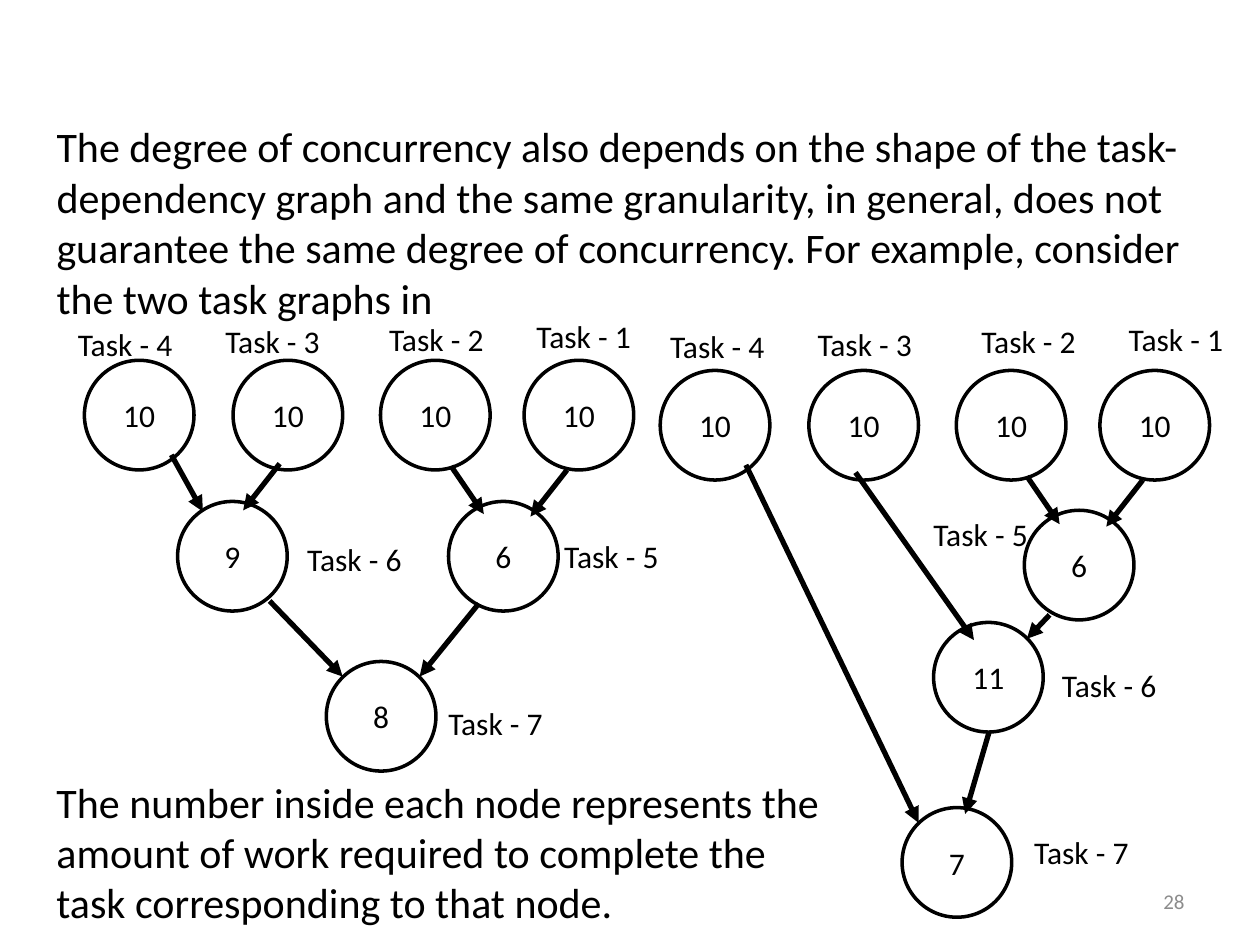
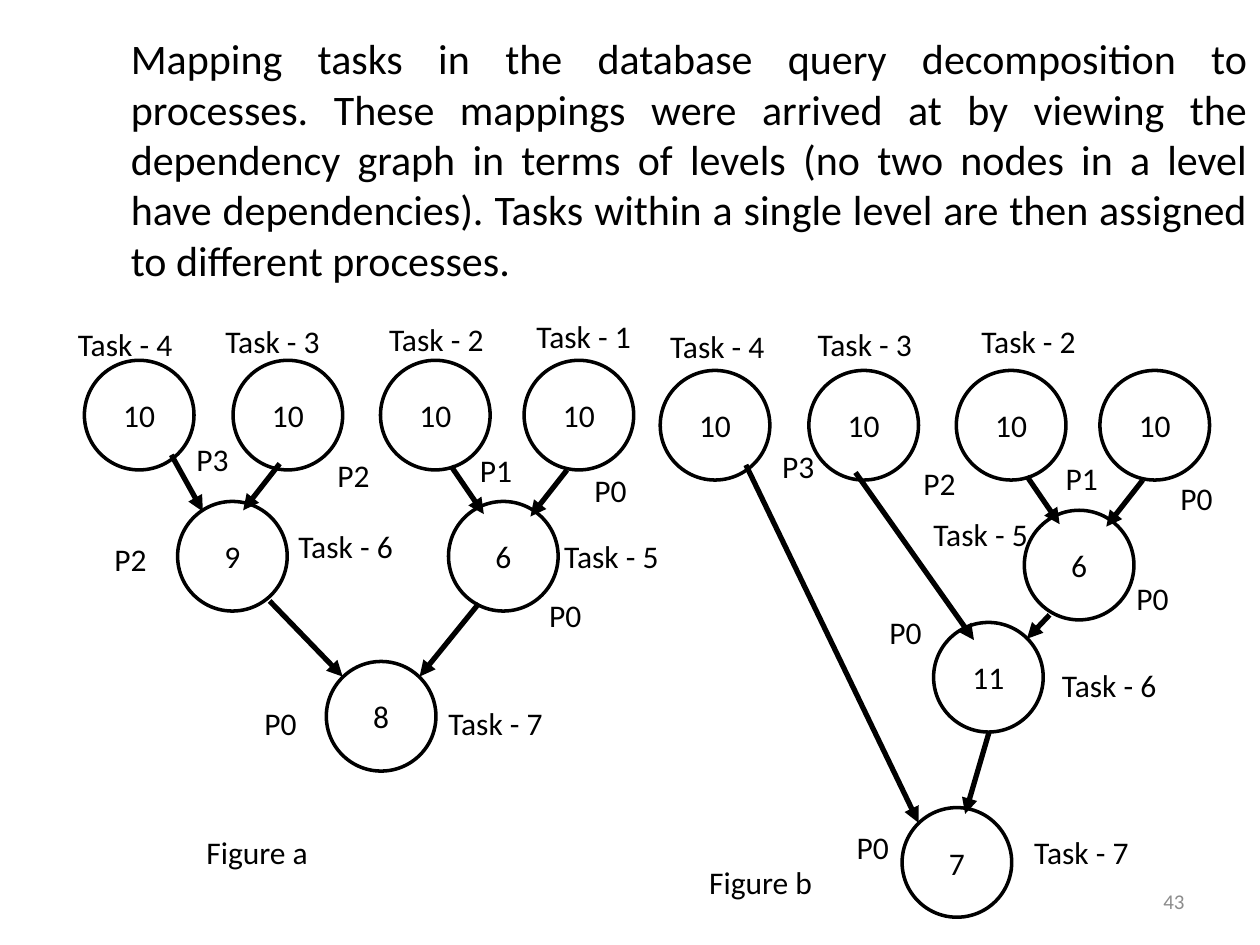
from lxml.etree import SubElement
from pptx import Presentation
from pptx.dml.color import RGBColor
from pptx.enum.shapes import MSO_CONNECTOR, MSO_SHAPE
from pptx.enum.text import MSO_ANCHOR, MSO_AUTO_SIZE, PP_ALIGN
from pptx.oxml.ns import qn
from pptx.util import Inches, Pt

BLACK = RGBColor(0x00, 0x00, 0x00)
GRAY = RGBColor(0x8C, 0x8C, 0x8C)
FONT = "Calibri"
NODE_SIZE = 0.87
LABEL_HEIGHT = 0.4
TASK_WIDTH = 1.14
PROCESS_WIDTH = 0.47

BALANCED_BOX = (0.67, 2.86)
CHAINED_BOX = (5.24, 2.94)

LEAVES = [(10, 0, 0), (10, 1.18, 0), (10, 2.35, 0), (10, 3.49, 0)]
LEAF_TASKS = [
    (f"Task - {4 - i}", x, -0.33 - 0.02 * i)
    for i, x in enumerate((-0.15, 1.02, 2.32, 3.49))
]
LEAF_PROCESSES = [
    ("P3", 0.79, 0.58), ("P2", 1.91, 0.71), ("P1", 3.04, 0.67), ("P0", 3.95, 0.83),
]
TASK_5_INPUTS = [(2.91, 0.84, 3.17, 1.22), (3.83, 0.87, 3.54, 1.24)]

BALANCED_NODES = LEAVES + [(9, 0.74, 1.12), (6, 2.89, 1.12), (8, 1.92, 2.39)]
BALANCED_ARROWS = TASK_5_INPUTS + [
    (0.69, 0.75, 0.94, 1.2), (1.55, 0.82, 1.26, 1.19),
    (1.47, 1.91, 2.05, 2.51), (3.13, 1.93, 2.66, 2.51),
]
BALANCED_TASKS = LEAF_TASKS + [("Task - 5", 3.71, 1.35), ("Task - 7", 2.79, 2.68)]
BALANCED_PROCESSES = LEAF_PROCESSES + [
    ("P2", 0.14, 1.38), ("P0", 3.59, 1.82), ("P0", 1.33, 2.68),
]

CHAINED_NODES = LEAVES + [(6, 2.89, 1.11), (11, 2.17, 2), (7, 1.92, 3.47)]
CHAINED_ARROWS = TASK_5_INPUTS + [
    (0.68, 0.75, 2.05, 3.59), (1.55, 0.81, 2.49, 2.14),
    (3.09, 1.94, 2.91, 2.13), (2.61, 2.87, 2.42, 3.52),
]
CHAINED_LEAF_TASKS = [(task, x + 0.13, y - 0.06) for task, x, y in LEAF_TASKS]
CHAINED_INNER_TASKS = [
    ("Task - 5", 2.07, 1.1), ("Task - 6", 3.09, 2.3), ("Task - 7", 2.87, 3.62),
]
CHAINED_PROCESSES = [(name, x + 0.08, y - 0.02) for name, x, y in LEAF_PROCESSES] + [
    ("P0", 3.68, 1.61), ("P0", 1.72, 1.88), ("P0", 1.46, 3.58),
]


def write(frame, text, size, align=PP_ALIGN.LEFT, color=BLACK):
    paragraph = frame.paragraphs[0]
    paragraph.text = text
    paragraph.alignment = align
    paragraph.font.name = FONT
    paragraph.font.size = Pt(size)
    paragraph.font.color.rgb = color


def add_text(slide, box, text, size=24, align=PP_ALIGN.LEFT):
    frame = slide.shapes.add_textbox(*map(Inches, box)).text_frame
    frame.word_wrap = True
    frame.auto_size = MSO_AUTO_SIZE.SHAPE_TO_FIT_TEXT
    write(frame, text, size, align)
    return frame


def add_label(slide, text, left, top, width):
    add_text(slide, (left, top, width, LABEL_HEIGHT), text, 18).word_wrap = False


def add_slide_number(slide, number):
    box = map(Inches, (7.17, 6.95, 2.33, 0.4))
    frame = slide.shapes.add_textbox(*box).text_frame
    frame.word_wrap = True
    frame.vertical_anchor = MSO_ANCHOR.MIDDLE
    write(frame, str(number), 12, PP_ALIGN.RIGHT, GRAY)


def add_node(slide, work, left, top):
    box = map(Inches, (left, top, NODE_SIZE, NODE_SIZE))
    node = slide.shapes.add_shape(MSO_SHAPE.OVAL, *box)
    node.shadow.inherit = False
    node.fill.background()
    node.line.color.rgb = BLACK
    node.line.width = Pt(2)
    node.text_frame.vertical_anchor = MSO_ANCHOR.MIDDLE
    write(node.text_frame, str(work), 18, PP_ALIGN.CENTER)


def add_arrow(slide, *ends):
    arrow = slide.shapes.add_connector(MSO_CONNECTOR.STRAIGHT, *map(Inches, ends))
    arrow.line.color.rgb = BLACK
    arrow.line.width = Pt(3)
    SubElement(arrow.line._get_or_add_ln(), qn("a:tailEnd"), type="triangle")
    SubElement(arrow._element.spPr, qn("a:effectLst"))


def add_task_graph(slide, box, nodes, arrows, tasks, processes=()):
    left, top = box
    for work, x, y in nodes:
        add_node(slide, work, left + x, top + y)
    for x1, y1, x2, y2 in arrows:
        add_arrow(slide, left + x1, top + y1, left + x2, top + y2)
    for labels, width in ((tasks, TASK_WIDTH), (processes, PROCESS_WIDTH)):
        for text, x, y in labels:
            add_label(slide, text, left + x, top + y, width)


def add_concurrency_slide(deck):
    slide = deck.slides.add_slide(deck.slide_layouts[6])
    add_text(
        slide, (0.35, 0.91, 9.45, 1.72),
        "The degree of concurrency also depends on the shape of the task-dependency "
        "graph and the same granularity, in general, does not guarantee the same "
        "degree of concurrency. For example, consider the two task graphs in",
    )
    add_task_graph(
        slide, BALANCED_BOX, BALANCED_NODES, BALANCED_ARROWS,
        BALANCED_TASKS + [("Task - 6", 1.67, 1.38)],
    )
    add_task_graph(
        slide, CHAINED_BOX, CHAINED_NODES, CHAINED_ARROWS,
        CHAINED_LEAF_TASKS + CHAINED_INNER_TASKS,
    )
    add_text(
        slide, (0.35, 6.11, 6.44, 1.31),
        "The number inside each node represents the amount of work required to "
        "complete the task corresponding to that node.",
    )
    add_slide_number(slide, 28)


def add_mapping_slide(deck):
    slide = deck.slides.add_slide(deck.slide_layouts[6])
    add_text(
        slide, (0.94, 0.21, 9.06, 2.12),
        "Mapping tasks in the database query decomposition to processes. These "
        "mappings were arrived at by viewing the dependency graph in terms of levels "
        "(no two nodes in a level have dependencies). Tasks within a single level are "
        "then assigned to different processes.",
        align=PP_ALIGN.JUSTIFY,
    )
    add_task_graph(
        slide, BALANCED_BOX, BALANCED_NODES, BALANCED_ARROWS,
        BALANCED_TASKS + [("Task - 6", 1.6, 1.27)], BALANCED_PROCESSES,
    )
    add_task_graph(
        slide, CHAINED_BOX, CHAINED_NODES, CHAINED_ARROWS,
        CHAINED_LEAF_TASKS[:3] + CHAINED_INNER_TASKS, CHAINED_PROCESSES,
    )
    add_label(slide, "Figure a", 1.54, 6.56, 2.5)
    add_label(slide, "Figure b", 5.53, 6.8, 2.5)
    add_slide_number(slide, 43)


def main():
    deck = Presentation()
    deck.slide_width, deck.slide_height = Inches(10), Inches(7.5)
    add_concurrency_slide(deck)
    add_mapping_slide(deck)
    deck.save("out.pptx")


if __name__ == "__main__":
    main()
